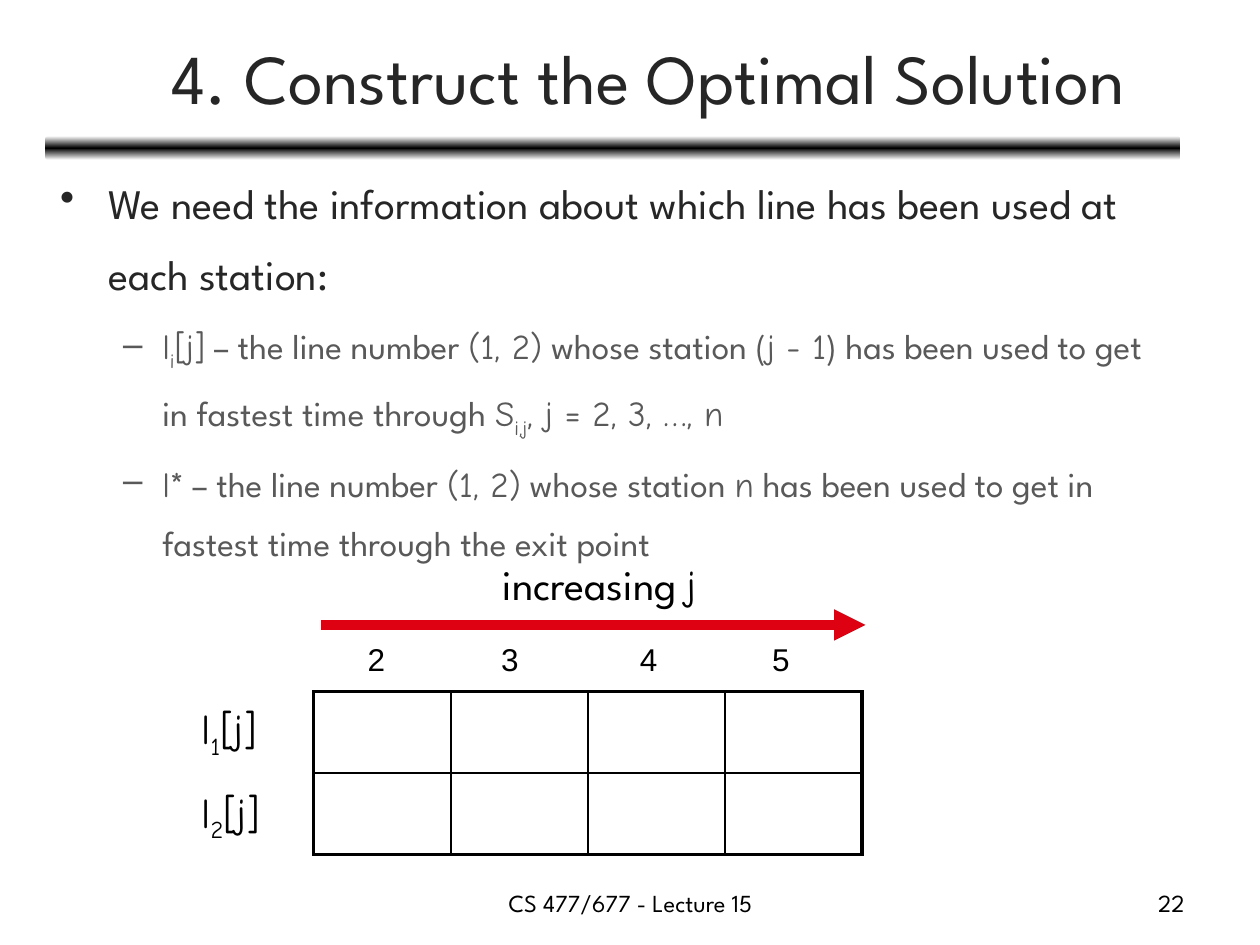
from copy import deepcopy

from lxml.etree import SubElement
from pptx import Presentation
from pptx.dml.color import RGBColor
from pptx.enum.shapes import MSO_CONNECTOR, MSO_SHAPE
from pptx.enum.text import MSO_ANCHOR, MSO_AUTO_SIZE, PP_ALIGN
from pptx.oxml.ns import qn
from pptx.util import Inches, Pt

COLORS = {
    "heading": "262626",
    "detail": "595959",
    "black": "000000",
    "white": "FFFFFF",
    "arrow": "DD0111",
}
PROSE, MATH, DIGITS = "League Spartan", "Comic Neue", "Arial"


def rgb(name):
    return RGBColor.from_string(COLORS[name])


class SlideBuilder:
    """Holds the slide and draws each kind of element in its style."""

    def __init__(self, slide):
        self.slide = slide

    def text_box(self, left, top, width, height, wrap=True):
        box = self.slide.shapes.add_textbox(
            Inches(left), Inches(top), Inches(width), Inches(height))
        frame = box.text_frame
        frame.word_wrap = wrap
        if not wrap:
            frame.auto_size = MSO_AUTO_SIZE.SHAPE_TO_FIT_TEXT
        return frame

    def add_runs(self, paragraph, runs, size, color="black"):
        """Fill a paragraph from (text, font) or (text, font, baseline %) runs."""
        fonts = {run[1] for run in runs}
        paragraph.font.size = Pt(size)
        paragraph.font.color.rgb = rgb(color)
        if len(fonts) == 1:
            paragraph.font.name = runs[0][1]
        for text, font, *baseline in runs:
            run = paragraph.add_run()
            run.text = text
            if len(fonts) > 1:
                run.font.name = font
            if baseline:
                run._r.get_or_add_rPr().set("baseline", str(baseline[0] * 1000))

    def label(self, box, runs, size, align=PP_ALIGN.LEFT, wrap=False,
              color="black", anchor=MSO_ANCHOR.TOP):
        frame = self.text_box(*box, wrap=wrap)
        frame.vertical_anchor = anchor
        frame.paragraphs[0].alignment = align
        self.add_runs(frame.paragraphs[0], runs, size, color)

    def bullets(self, box, items):
        """Each item is (mark, margin, hanging, size, color, runs)."""
        frame = self.text_box(*box)
        for index, (mark, margin, hanging, size, color, runs) in enumerate(items):
            paragraph = frame.add_paragraph() if index else frame.paragraphs[0]
            paragraph.line_spacing = 1.4
            if index:
                paragraph.space_before = Pt(size * 0.2)
            properties = paragraph._p.get_or_add_pPr()
            properties.set("marL", str(Inches(margin)))
            properties.set("indent", str(-Inches(hanging)))
            SubElement(properties, qn("a:buChar")).set("char", mark)
            self.add_runs(paragraph, runs, size, color)

    def gradient_bar(self, left, top, width, height):
        bar = self.slide.shapes.add_shape(
            MSO_SHAPE.ROUNDED_RECTANGLE,
            Inches(left), Inches(top), Inches(width), Inches(height))
        bar.shadow.inherit = False
        bar.line.fill.background()
        bar.fill.gradient()
        bar.fill.gradient_angle = 90
        stops = bar._element.spPr.find(".//" + qn("a:gsLst"))
        stops.append(deepcopy(stops[-1]))
        for stop, position, color in zip(
                bar.fill.gradient_stops, (0, 0.5, 1), ("white", "black", "white")):
            stop.position = position
            stop.color.rgb = rgb(color)

    def arrow(self, start, end, y, color, weight):
        arrow = self.slide.shapes.add_connector(
            MSO_CONNECTOR.STRAIGHT,
            Inches(start), Inches(y), Inches(end), Inches(y))
        arrow.line.color.rgb = rgb(color)
        arrow.line.width = Pt(weight)
        properties = arrow._element.spPr
        SubElement(properties.find(qn("a:ln")), qn("a:tailEnd")).set("type", "triangle")
        SubElement(properties, qn("a:effectLst"))

    def empty_grid(self, left, top, width, height, rows, columns):
        """Draw a blank table with a heavy frame and thin inner rules."""
        table = self.slide.shapes.add_table(
            rows, columns, Inches(left), Inches(top),
            Inches(width), Inches(height)).table
        table.first_row = table.horz_banding = False
        for r in range(rows):
            for c in range(columns):
                cell = table.cell(r, c)
                on_frame = {"lnL": c == 0, "lnR": c == columns - 1,
                            "lnT": r == 0, "lnB": r == rows - 1}
                for side, heavy in on_frame.items():
                    self.border(cell, side, 2.25 if heavy else 1)
                cell.fill.background()

    def border(self, cell, side, weight):
        line = SubElement(cell._tc.get_or_add_tcPr(), qn("a:" + side))
        line.set("w", str(Pt(weight)))
        fill = SubElement(line, qn("a:solidFill"))
        SubElement(fill, qn("a:srgbClr")).set("val", COLORS["black"])


def main():
    presentation = Presentation()
    presentation.slide_width, presentation.slide_height = Inches(10), Inches(7.5)
    builder = SlideBuilder(
        presentation.slides.add_slide(presentation.slide_layouts[6]))

    builder.gradient_bar(0.36, 1.08, 9.01, 0.19)
    builder.label((0.37, 0.11, 9.55, 0.99),
                  [("4. Construct the Optimal Solution", PROSE)], 40,
                  PP_ALIGN.CENTER, True, "heading", MSO_ANCHOR.MIDDLE)

    need = [("We need the information about which line has been used at "
             "each station:", PROSE)]
    line_per_station = [
        ("l", MATH), ("i", MATH, -25), ("[j]", MATH),
        (" – the line number ", PROSE), ("(1, 2)", MATH),
        (" whose station (", PROSE), ("j - 1", MATH),
        (") has been used to get in fastest time through ", PROSE),
        ("S", MATH), ("i,j", MATH, -25), (", j = 2, 3, …, n", MATH)]
    exit_line = [
        ("l*", MATH), (" – the line number ", PROSE), ("(1, 2)", MATH),
        (" whose station ", PROSE), ("n", MATH),
        (" has been used to get in fastest time through the exit point", PROSE)]
    builder.bullets((0.38, 1.2, 9, 3.27), [
        ("•", 0.38, 0.38, 24, "heading", need),
        ("–", 0.81, 0.31, 20, "detail", line_per_station),
        ("–", 0.81, 0.31, 20, "detail", exit_line)])

    builder.empty_grid(2.49, 5.49, 4.35, 1.29, rows=2, columns=4)
    for line, top, width in (("1", 5.53, 0.78), ("2", 6.19, 0.81)):
        builder.label((1.5, top, width, 0.5),
                      [("l", MATH), (line, MATH, -25), ("[j]", MATH)], 24)
    for station, left in zip("2345", (2.82, 3.88, 4.98, 6.03)):
        builder.label((left, 5.03, 0.34, 0.4), [(station, DIGITS)], 18)

    builder.arrow(2.55, 6.87, 4.96, "arrow", 6)
    builder.label((3.89, 4.38, 2.1, 0.51),
                  [("increasing ", PROSE), ("j", MATH)], 24)

    builder.label((3.42, 7, 3.17, 0.35), [("CS 477/677 - Lecture 15", PROSE)],
                  14, PP_ALIGN.CENTER, True)
    builder.label((7.17, 7, 2.33, 0.35), [("22", PROSE)],
                  14, PP_ALIGN.RIGHT, True)

    presentation.save("out.pptx")


if __name__ == "__main__":
    main()
